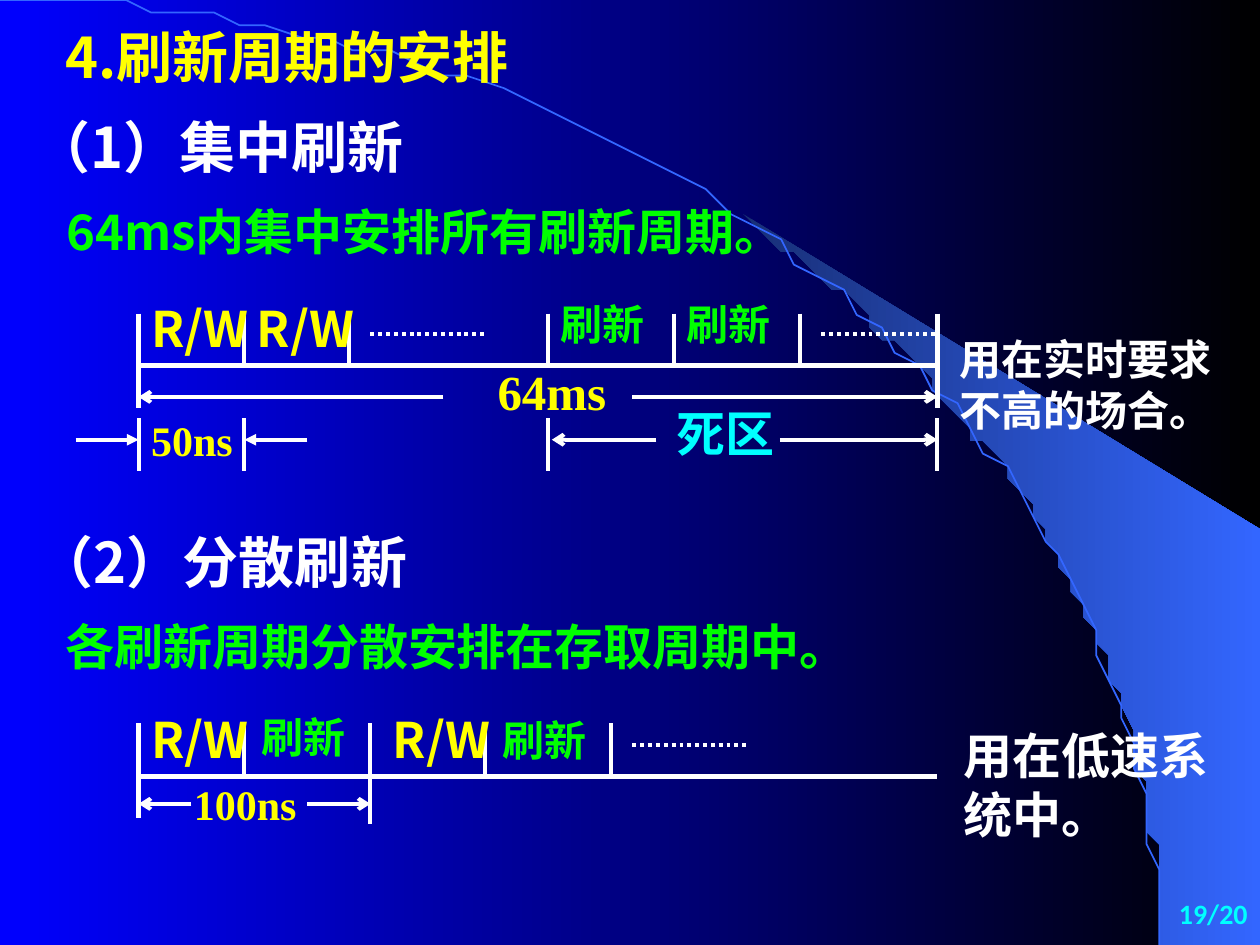
from math import asin, cos, pi, sin

from lxml.etree import SubElement
from pptx import Presentation
from pptx.dml.color import RGBColor
from pptx.enum.dml import MSO_LINE as Dash
from pptx.enum.shapes import MSO_CONNECTOR as Link
from pptx.enum.text import MSO_ANCHOR as Anchor, MSO_AUTO_SIZE as AutoSize, PP_ALIGN as Align
from pptx.oxml.ns import qn
from pptx.util import Inches, Pt

BLUE = RGBColor(0x00, 0x00, 0xFF)
BLACK = RGBColor(0x00, 0x00, 0x00)
NAVY = RGBColor(0x18, 0x2F, 0x76)
AZURE = RGBColor(0x33, 0x66, 0xFF)
WHITE = RGBColor(0xFF, 0xFF, 0xFF)
YELLOW = RGBColor(0xFF, 0xFF, 0x00)
GREEN = RGBColor(0x00, 0xFF, 0x00)
CYAN = RGBColor(0x00, 0xFF, 0xFF)
SANS, SERIF, NUMERIC = "Noto Sans CJK SC", "Times New Roman", "Calibri"
COLUMNS, ROWS = 100, 75
ARC_WIDTH, ARC_HEIGHT = 92, 74.9


def arc_points(start, steps=60):
    """Return grid points along the quarter ellipse from an angle to its right end."""
    angles = [start + (pi / 2 - start) * step / steps for step in range(steps + 1)]
    return [(ARC_WIDTH * sin(a), ARC_HEIGHT * (1 - cos(a))) for a in angles]


class Board:
    """Draws styled elements on the current slide, measured in grid columns and rows."""

    def __init__(self, deck, layout):
        self.slide = deck.slides.add_slide(deck.slide_layouts[layout])
        self.cell_width = deck.slide_width / COLUMNS
        self.cell_height = deck.slide_height / ROWS

    def place(self, left, top, width, height):
        """Convert a grid box to slide lengths."""
        return (round(left * self.cell_width), round(top * self.cell_height),
                round(width * self.cell_width), round(height * self.cell_height))

    def gradient(self, fill, first, last):
        """Apply a left-to-right gradient."""
        fill.gradient()
        fill.gradient_angle = 0
        for stop, color, position in zip(fill.gradient_stops, (first, last), (0, 1)):
            stop.color.rgb, stop.position = color, position

    def outline(self, points, close):
        """Build a freeform behind all other elements."""
        builder = self.slide.shapes.build_freeform(*points[0], scale=(self.cell_width, self.cell_height))
        builder.add_line_segments(points[1:], close=close)
        shape = builder.convert_to_shape()
        shape.shadow.inherit = False
        self.slide.shapes._spTree.insert(2, shape._element)
        return shape

    def fill_text(self, holder, words, size, color, font=SANS, align=Align.LEFT, anchor=Anchor.TOP):
        """Put one bold paragraph into a text holder."""
        frame = holder.text_frame
        frame.text, frame.word_wrap, frame.vertical_anchor = words, True, anchor
        frame.auto_size = AutoSize.NONE
        paragraph = frame.paragraphs[0]
        properties = paragraph._p.get_or_add_pPr()
        properties.set("marL", "0")
        properties.set("indent", "0")
        SubElement(properties, qn("a:buNone"))
        paragraph.alignment, paragraph.space_before = align, Pt(0)
        style = paragraph.font
        style.size, style.bold, style.name, style.color.rgb = Pt(size), True, font, color
        east_asian = SubElement(properties.find(qn("a:defRPr")), qn("a:ea"))
        east_asian.set("typeface", font)

    def heading(self, index, box, words, size, color):
        """Move and fill a template placeholder."""
        holder = self.slide.placeholders[index]
        holder.left, holder.top, holder.width, holder.height = self.place(*box)
        self.fill_text(holder, words, size, color)

    def label(self, box, words, size, color, **style):
        """Add a text box."""
        self.fill_text(self.slide.shapes.add_textbox(*self.place(*box)), words, size, color, **style)

    def line(self, start, end, weight=2.25, arrow=None, dotted=False):
        """Add a white line, with an optional arrowhead at its end."""
        link = self.slide.shapes.add_connector(Link.STRAIGHT, *self.place(*start, *end))
        link.line.color.rgb, link.line.width = WHITE, Pt(weight)
        if dotted:
            link.line.dash_style = Dash.ROUND_DOT
        properties = link._element.spPr
        if arrow:
            SubElement(properties.find(qn("a:ln")), qn("a:tailEnd")).set("type", arrow)
        SubElement(properties, qn("a:effectLst"))

    def ticks(self, columns, top, bottom, weight=2.25):
        """Add vertical lines at the given columns."""
        for column in columns:
            self.line((column, top), (column, bottom), weight)

    def spans(self, row, ends, arrow="arrow"):
        """Add horizontal arrows on one row."""
        for start, tip in ends:
            self.line((start, row), (tip, row), arrow=arrow)

    def dots(self, row, starts):
        """Add dotted lines of equal length on one row."""
        for start in starts:
            self.line((start, row), (start + 9.2, row), dotted=True)


def backdrop(board):
    """Draw the gradient background, the arc and the beam beside it."""
    board.gradient(board.slide.background.fill, BLUE, BLACK)
    arc = board.outline(arc_points(0), False)
    arc.fill.background()
    arc.line.color.rgb, arc.line.width = AZURE, Pt(1)
    beam = board.outline(arc_points(asin(58.9 / ARC_WIDTH)) + [(99.9, ARC_HEIGHT), (99.9, 42.3)], True)
    board.gradient(beam.fill, NAVY, AZURE)
    beam.line.fill.background()


def headings(board):
    """Fill the title and the two sections."""
    board.heading(0, (4.2, 1.3, 64.2, 6.4), "4.刷新周期的安排", 32, YELLOW)
    board.heading(1, (1.7, 8.4, 51.7, 6.4), "（1）集中刷新", 32, WHITE)
    board.heading(2, (4.3, 15.5, 74.2, 5.7), "64ms内集中安排所有刷新周期。", 28, GREEN)
    board.heading(3, (2, 41.4, 51.7, 6.4), "（2）分散刷新", 32, WHITE)
    board.heading(4, (4.2, 48.4, 74.2, 5.7), "各刷新周期分散安排在存取周期中。", 28, GREEN)


def burst_timeline(board, left, right):
    """Draw the timeline with all refresh cycles at its end."""
    board.line((left, 29), (right, 29), 3)
    board.ticks((left, right), 24.9, 32.4, 3)
    board.ticks((19.4, 27.7, 43.5, 53.5, 63.5), 24.9, 29)
    board.ticks((left, 19.4, 43.5, right), 33.2, 37.4)
    board.dots(26.5, (29.4, 65.2))
    board.spans(31.5, ((50.2, right), (35.2, left)))
    board.spans(34.9, ((6, left), (24.4, 19.4)), "triangle")
    board.spans(34.9, ((52.1, 43.8), (61.9, right)))
    for column in (left, 19.4):
        board.label((column, 23.2, 14.2, 5.7), "R/W", 28, YELLOW)
    for column in (43.5, 53.5):
        board.label((column, 23.2, 14.2, 5), "刷新", 24, GREEN)
    board.label((38.5, 28.2, 14.2, 5.7), "64ms", 28, YELLOW, font=SERIF)
    board.label((left, 32.4, 14.2, 5), "50ns", 24, YELLOW, font=SERIF)
    board.label((52.7, 31.5, 14.2, 5.7), "死区", 28, CYAN)
    board.label((75.2, 26, 23.3, 9), "用在实时要求不高的场合。", 24, WHITE)


def spread_timeline(board, left, right):
    """Draw the timeline with a refresh in every access cycle."""
    board.line((left, 61.6), (right, 61.6), 3)
    board.ticks((left,), 57.4, 64.9, 3)
    board.ticks((19.4, 38.5, 48.5), 57.4, 61.6)
    board.ticks((29.4,), 57.4, 65.4)
    board.dots(59.1, (50.2,))
    board.spans(63.8, ((15.2, left), (24.4, 29.4)))
    for access, refresh, row in ((left, 19.8, 56), (30.2, 38.9, 56.2)):
        board.label((access, 55.8, 14.2, 5.7), "R/W", 28, YELLOW)
        board.label((refresh, row, 14.2, 5), "刷新", 24, GREEN)
    board.label((14.4, 61.3, 14.2, 5), "100ns", 24, YELLOW, font=SERIF)
    board.label((75.5, 57.1, 23.3, 10.4), "用在低速系统中。", 28, WHITE)


def main():
    """Build and save the slide."""
    deck = Presentation()
    deck.slide_width, deck.slide_height = Inches(10), Inches(7.5)
    board = Board(deck, 4)
    backdrop(board)
    headings(board)
    burst_timeline(board, 11, 74.4)
    spread_timeline(board, 11, 74.4)
    board.label((87.8, 70, 12.2, 5), "19/20", 16, CYAN, font=NUMERIC, align=Align.RIGHT, anchor=Anchor.MIDDLE)
    deck.save("out.pptx")


if __name__ == "__main__":
    main()
